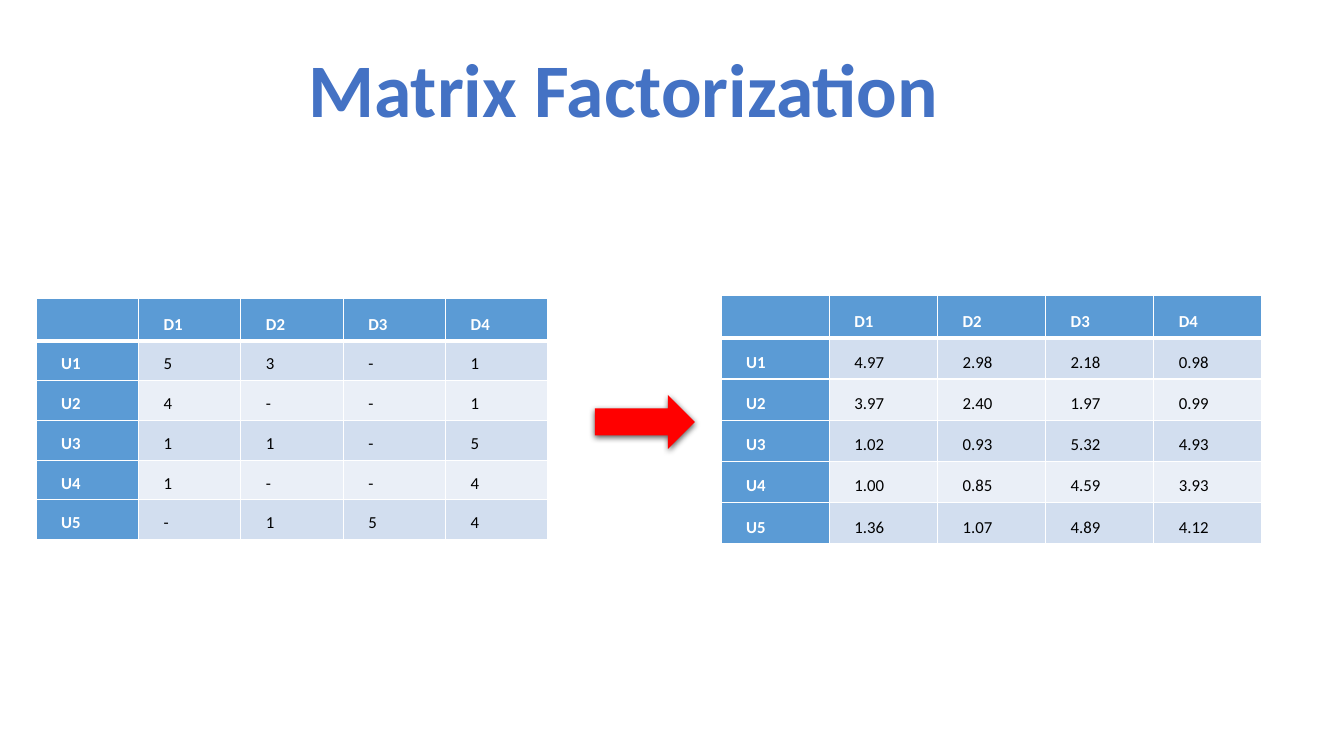
"""Build the Matrix Factorization slide: a sparse rating table and its filled-in estimate."""
from lxml import etree
from pptx import Presentation
from pptx.dml.color import RGBColor
from pptx.enum.shapes import MSO_SHAPE as Shape
from pptx.enum.text import MSO_ANCHOR as Anchor, MSO_AUTO_SIZE as AutoSize, PP_ALIGN as Align
from pptx.oxml import parse_xml
from pptx.util import Emu, Pt

TITLE = "Matrix Factorization"
DOCUMENTS = ["", "D1", "D2", "D3", "D4"]
TABLES = [
    {
        "box": (36, 298, 512, 237), "header": 38, "spacing": Pt(18),
        "rows": [
            DOCUMENTS,
            ["U1", "5", "3", "-", "1"],
            ["U2", "4", "-", "-", "1"],
            ["U3", "1", "1", "-", "5"],
            ["U4", "1", "-", "-", "4"],
            ["U5", "-", "1", "5", "4"],
        ],
    },
    {
        "box": (721, 295, 541, 247), "header": 41, "spacing": 1.15,
        "rows": [
            DOCUMENTS,
            ["U1", "4.97", "2.98", "2.18", "0.98"],
            ["U2", "3.97", "2.40", "1.97", "0.99"],
            ["U3", "1.02", "0.93", "5.32", "4.93"],
            ["U4", "1.00", "0.85", "4.59", "3.93"],
            ["U5", "1.36", "1.07", "4.89", "4.12"],
        ],
    },
]
TITLE_BOX = (295, 37, 657, 102)
ARROW_BOX = (595, 395, 100, 54)
BLUE, HEADING, BANDS = "4472C4", "5B9BD5", ("EAEFF7", "D2DEEF")
WHITE, BLACK, RED = "FFFFFF", "000000", "FF0000"
CELL_FORMAT = {
    "vertical_anchor": Anchor.BOTTOM,
    "margin_left": Emu(228600), "margin_right": Emu(228600),
    "margin_top": Emu(57150), "margin_bottom": Emu(57150),
}
NAMESPACE = "http://schemas.openxmlformats.org/drawingml/2006/main"


def px(length):
    return Emu(round(length * 914400 / 100.8))


def color(value):
    return RGBColor.from_string(value)


def apply(target, values):
    for name, value in values.items():
        setattr(target, name, value)


def line_xml(tag, points):
    return parse_xml(
        f'<a:{tag} xmlns:a="{NAMESPACE}" w="{Pt(points)}"><a:solidFill>'
        f'<a:srgbClr val="{WHITE}"/></a:solidFill></a:{tag}>')


def write(paragraph, text, size, ink, bold):
    run = paragraph.add_run()
    run.text = text
    apply(run.font, {"name": "Calibri", "size": Pt(size), "bold": bold})
    run.font.color.rgb = color(ink)
    return run


def add_title(slide):
    frame = slide.shapes.add_textbox(*map(px, TITLE_BOX)).text_frame
    apply(frame, {"word_wrap": False, "auto_size": AutoSize.SHAPE_TO_FIT_TEXT})
    paragraph = frame.paragraphs[0]
    paragraph.alignment = Align.CENTER
    run = write(paragraph, TITLE, 54, BLUE, True)
    run.font._element.insert(0, line_xml("ln", 0.75))


def format_cell(cell, text, row, column, spacing):
    heading = row == 0 or column == 0
    apply(cell, CELL_FORMAT)
    cell.fill.solid()
    cell.fill.fore_color.rgb = color(HEADING if heading else BANDS[row % 2])
    borders = {"lnL": 1, "lnR": 1, "lnT": 3 if row == 1 else 1, "lnB": 3 if row == 0 else 1}
    for index, (tag, points) in enumerate(borders.items()):
        cell._tc.tcPr.insert(index, line_xml(tag, points))
    paragraph = cell.text_frame.paragraphs[0]
    paragraph.line_spacing = spacing if text else Pt(18)
    if text:
        write(paragraph, text, 12, WHITE if heading else BLACK, heading)


def add_ratings(slide, box, header, spacing, rows):
    width, height = box[2:]
    table = slide.shapes.add_table(len(rows), len(rows[0]), *map(px, box)).table
    for column in table.columns:
        column.width = px(width / len(rows[0]))
    for index, row in enumerate(table.rows):
        row.height = px((height - header) / (len(rows) - 1) if index else header)
    for row, texts in enumerate(rows):
        for column, text in enumerate(texts):
            format_cell(table.cell(row, column), text, row, column, spacing)


def add_arrow(slide):
    arrow = slide.shapes.add_shape(Shape.RIGHT_ARROW, *map(px, ARROW_BOX))
    arrow.fill.solid()
    arrow.fill.fore_color.rgb = color(RED)
    arrow.line.fill.background()
    arrow.shadow.inherit = False
    effects = arrow._element.spPr.find(f"{{{NAMESPACE}}}effectLst")
    shadow = etree.SubElement(
        effects, f"{{{NAMESPACE}}}outerShdw", blurRad=str(Pt(4.5)), dist=str(Pt(1.5)),
        dir="5400000", algn="ctr", rotWithShape="0")
    tint = etree.SubElement(shadow, f"{{{NAMESPACE}}}srgbClr", val=BLACK)
    etree.SubElement(tint, f"{{{NAMESPACE}}}alpha", val="63000")


def main():
    presentation = Presentation()
    apply(presentation, {"slide_width": px(1344), "slide_height": px(756)})
    slide = presentation.slides.add_slide(presentation.slide_layouts[6])
    add_title(slide)
    for ratings in TABLES:
        add_ratings(slide, **ratings)
    add_arrow(slide)
    presentation.save("out.pptx")


if __name__ == "__main__":
    main()
